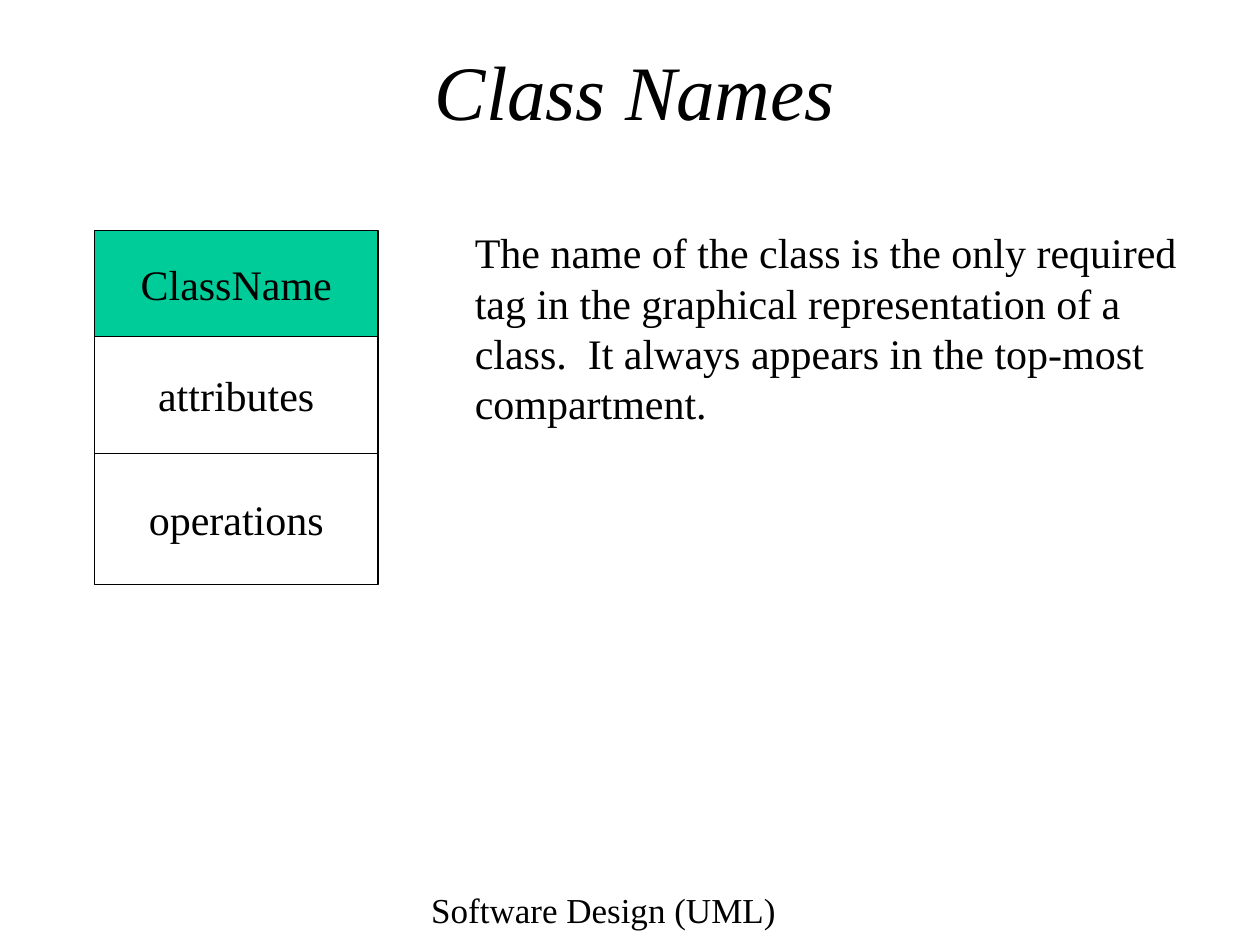
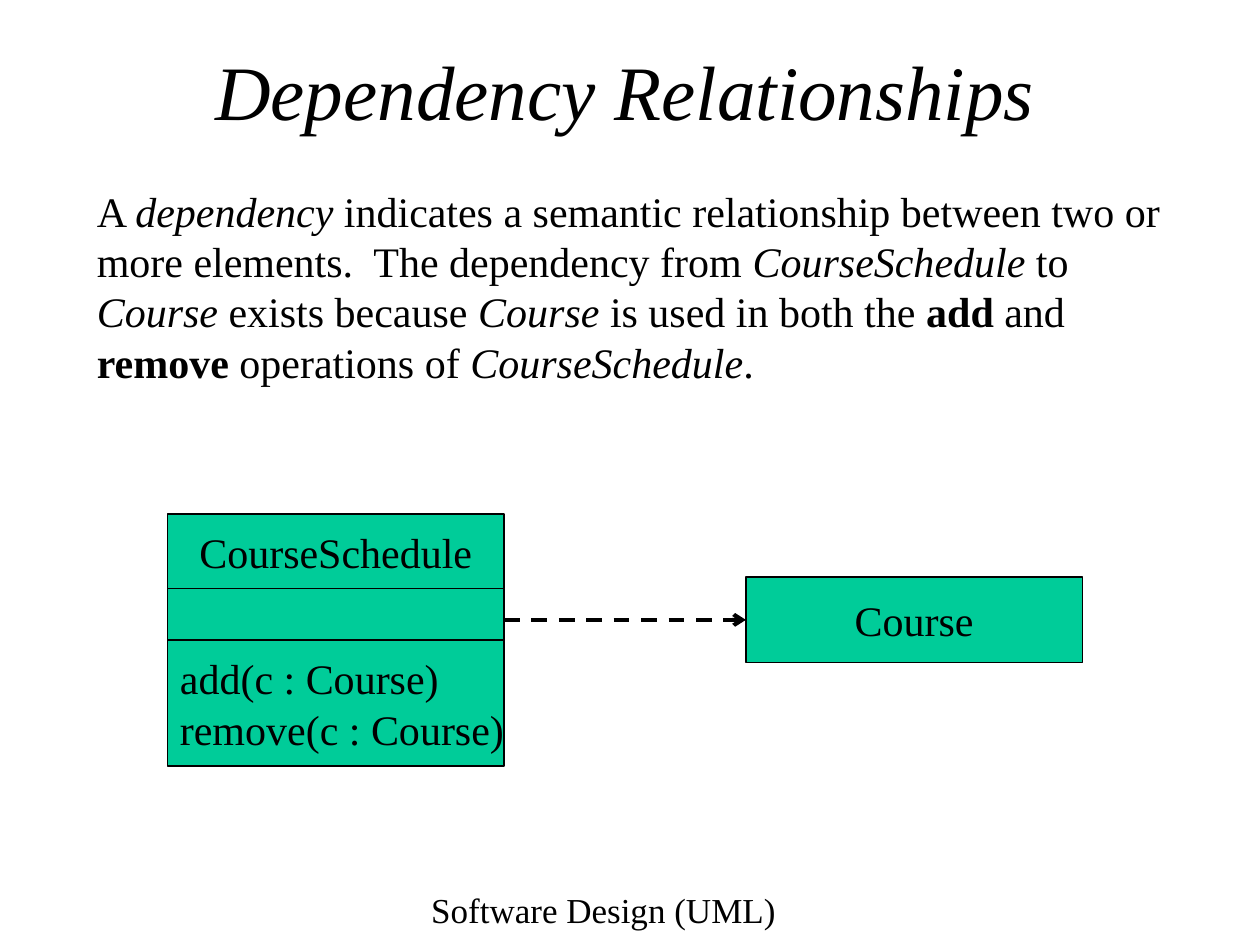
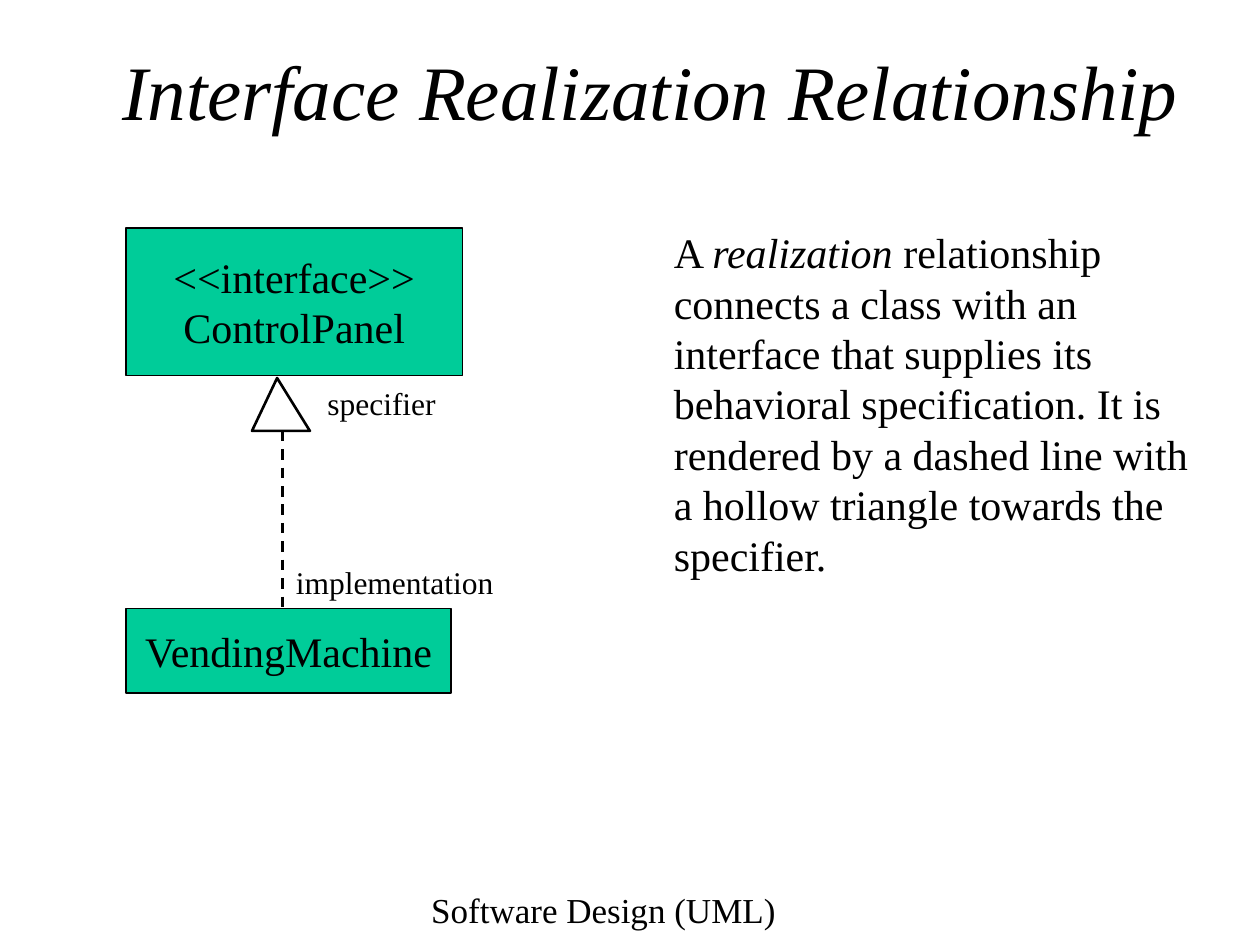
from dataclasses import dataclass
from typing import Any, Optional, Union

import pptx
import pptx.dml.color
import pptx.enum.dml
import pptx.enum.shapes
import pptx.enum.text
import pptx.oxml
import pptx.oxml.ns
import pptx.util
from pptx.util import Inches

FONT = "Times New Roman"
BLACK = "000000"
WHITE = "FFFFFF"
GREEN = "00CC99"
FOOTER = "Software Design (UML)"
LEFT = pptx.enum.text.PP_ALIGN.LEFT
CENTER = pptx.enum.text.PP_ALIGN.CENTER
TOP = pptx.enum.text.MSO_ANCHOR.TOP
MIDDLE = pptx.enum.text.MSO_ANCHOR.MIDDLE


@dataclass(frozen=True)
class Run:
    text: str
    italic: bool = False
    bold: bool = False


Paragraph = list[Union[str, Run]]


@dataclass(frozen=True)
class Area:
    left: float
    top: float
    width: float
    height: float

    def lengths(self) -> list[int]:
        return [Inches(v) for v in (self.left, self.top, self.width, self.height)]


@dataclass(frozen=True)
class Compartment:
    area: Area
    lines: tuple[str, ...] = ()
    fill: str = GREEN
    align: Any = CENTER


def color(value: str) -> pptx.dml.color.RGBColor:
    return pptx.dml.color.RGBColor.from_string(value)


def write_text(frame: Any, paragraphs: list[Paragraph], *, size: float = 24,
               align: Any = LEFT, anchor: Any = TOP, italic: bool = False,
               wrap: bool = True, inset: tuple[float, float] = (0.1, 0.05)) -> None:
    frame.word_wrap = wrap
    frame.vertical_anchor = anchor
    frame.margin_left = frame.margin_right = Inches(inset[0])
    frame.margin_top = frame.margin_bottom = Inches(inset[1])
    for index, parts in enumerate(paragraphs):
        paragraph = frame.add_paragraph() if index else frame.paragraphs[0]
        paragraph.alignment = align
        for part in parts:
            piece = part if isinstance(part, Run) else Run(part)
            run = paragraph.add_run()
            run.text = piece.text
            run.font.name = FONT
            run.font.size = pptx.util.Pt(size)
            run.font.italic = italic or piece.italic
            run.font.bold = piece.bold
            run.font.color.rgb = color(BLACK)


def add_text(slide: Any, area: Area, paragraphs: list[Paragraph], **text_format: Any) -> None:
    box = slide.shapes.add_textbox(*area.lengths())
    write_text(box.text_frame, paragraphs, **text_format)


def style_outline(shape: Any, fill: str, weight: float) -> None:
    shape.shadow.inherit = False
    shape.fill.solid()
    shape.fill.fore_color.rgb = color(fill)
    shape.line.color.rgb = color(BLACK)
    shape.line.width = pptx.util.Pt(weight)


def add_compartment(slide: Any, compartment: Compartment) -> Any:
    shape = slide.shapes.add_shape(
        pptx.enum.shapes.MSO_SHAPE.RECTANGLE, *compartment.area.lengths())
    style_outline(shape, compartment.fill, 0.75)
    if compartment.lines:
        write_text(shape.text_frame, [[line] for line in compartment.lines],
                   align=compartment.align, anchor=MIDDLE, wrap=False)
    return shape


def add_stack(slide: Any, left: float, width: float, edges: list[float],
              contents: list[tuple[tuple[str, ...], str, Any]]) -> None:
    for top, bottom, (lines, fill, align) in zip(edges, edges[1:], contents):
        area = Area(left, top, width, bottom - top)
        add_compartment(slide, Compartment(area, lines, fill, align))


def add_dashed_line(slide: Any, start: tuple[float, float], end: tuple[float, float],
                    weight: float, target: Optional[Any] = None, side: int = 1,
                    arrow: bool = False) -> None:
    line = slide.shapes.add_connector(
        pptx.enum.shapes.MSO_CONNECTOR.STRAIGHT, *[Inches(v) for v in start + end])
    if target is not None:
        line.end_connect(target, side)
    line.line.color.rgb = color(BLACK)
    line.line.width = pptx.util.Pt(weight)
    line.line.dash_style = pptx.enum.dml.MSO_LINE.DASH
    properties = line._element.spPr
    if arrow:
        outline = properties.find(pptx.oxml.ns.qn("a:ln"))
        outline.append(pptx.oxml.parse_xml(
            f'<a:tailEnd {pptx.oxml.ns.nsdecls("a")} type="arrow"/>'))
    properties.append(pptx.oxml.parse_xml(
        f'<a:effectLst {pptx.oxml.ns.nsdecls("a")}/>'))


def add_slide(deck: Any, title: str, left: float = 0.75, width: float = 8.58) -> Any:
    slide = deck.slides.add_slide(deck.slide_layouts[6])
    slide.background.fill.solid()
    slide.background.fill.fore_color.rgb = color(WHITE)
    add_text(slide, Area(2.58, 7, 4.42, 0.5), [[FOOTER]], size=20, align=CENTER)
    add_text(slide, Area(left, 0.42, width, 0.58), [[title]], size=44,
             align=CENTER, anchor=MIDDLE, italic=True, inset=(0, 0))
    return slide


def build_class_names(deck: Any) -> None:
    slide = add_slide(deck, "Class Names")
    add_stack(slide, 0.75, 2.25, [1.83, 2.67, 3.6, 4.64], [
        (("ClassName",), GREEN, CENTER),
        (("attributes",), WHITE, CENTER),
        (("operations",), WHITE, CENTER),
    ])
    add_text(slide, Area(3.67, 1.75, 6, 1.7), [[
        "The name of the class is the only required tag in the graphical "
        "representation of a class.  It always appears in the top-most compartment."]])


def build_dependency(deck: Any) -> None:
    slide = add_slide(deck, "Dependency Relationships", left=0.67)
    add_stack(slide, 1.33, 2.67, [4.08, 4.67, 5.08, 6.08], [
        (("CourseSchedule",), GREEN, CENTER),
        ((), GREEN, CENTER),
        (("add(c : Course)", "remove(c : Course)"), GREEN, LEFT),
    ])
    course = add_compartment(slide, Compartment(Area(5.92, 4.58, 2.67, 0.68), ("Course",)))
    add_dashed_line(slide, (4, 4.92), (5.92, 4.92), 2.25, target=course, arrow=True)
    schedule_name = Run("CourseSchedule", italic=True)
    course_name = Run("Course", italic=True)
    add_text(slide, Area(0.67, 1.42, 8.87, 2.1), [
        ["A ", Run("dependency", italic=True),
         " indicates a semantic relationship between two or"],
        ["more elements.  The dependency from ", schedule_name, " to ", course_name,
         " exists because ", course_name, " is used in both the ", Run("add", bold=True),
         " and ", Run("remove", bold=True), " operations of ", schedule_name, "."],
    ])


def build_realization(deck: Any) -> None:
    slide = add_slide(deck, "Interface Realization Relationship", width=8.83)
    for compartment in (
        Compartment(Area(1, 1.81, 2.67, 1.17), ("<<interface>>", "ControlPanel")),
        Compartment(Area(1, 4.83, 2.58, 0.67), ("VendingMachine",)),
    ):
        add_compartment(slide, compartment)
    add_dashed_line(slide, (2.24, 3.42), (2.24, 4.83), 1.5)
    apex, *base = [(Inches(x), Inches(y)) for x, y in ((2.2, 3), (2, 3.42), (2.46, 3.42))]
    outline = slide.shapes.build_freeform(*apex)
    outline.add_line_segments(base, close=True)
    style_outline(outline.convert_to_shape(), WHITE, 1.5)
    add_text(slide, Area(5.25, 1.75, 4.33, 2.9), [[
        "A ", Run("realization", italic=True),
        " relationship connects a class with an interface that supplies its behavioral "
        "specification. It is rendered by a dashed line with a hollow triangle towards "
        "the specifier."]])
    for role, area in (("specifier", Area(2.5, 3, 1.08, 0.4)),
                       ("implementation", Area(2.25, 4.42, 1.83, 0.4))):
        add_text(slide, area, [[role]], size=18)


def main() -> None:
    deck = pptx.Presentation()
    deck.slide_width = Inches(10)
    deck.slide_height = Inches(7.5)
    build_class_names(deck)
    build_dependency(deck)
    build_realization(deck)
    deck.save("out.pptx")


if __name__ == "__main__":
    main()
